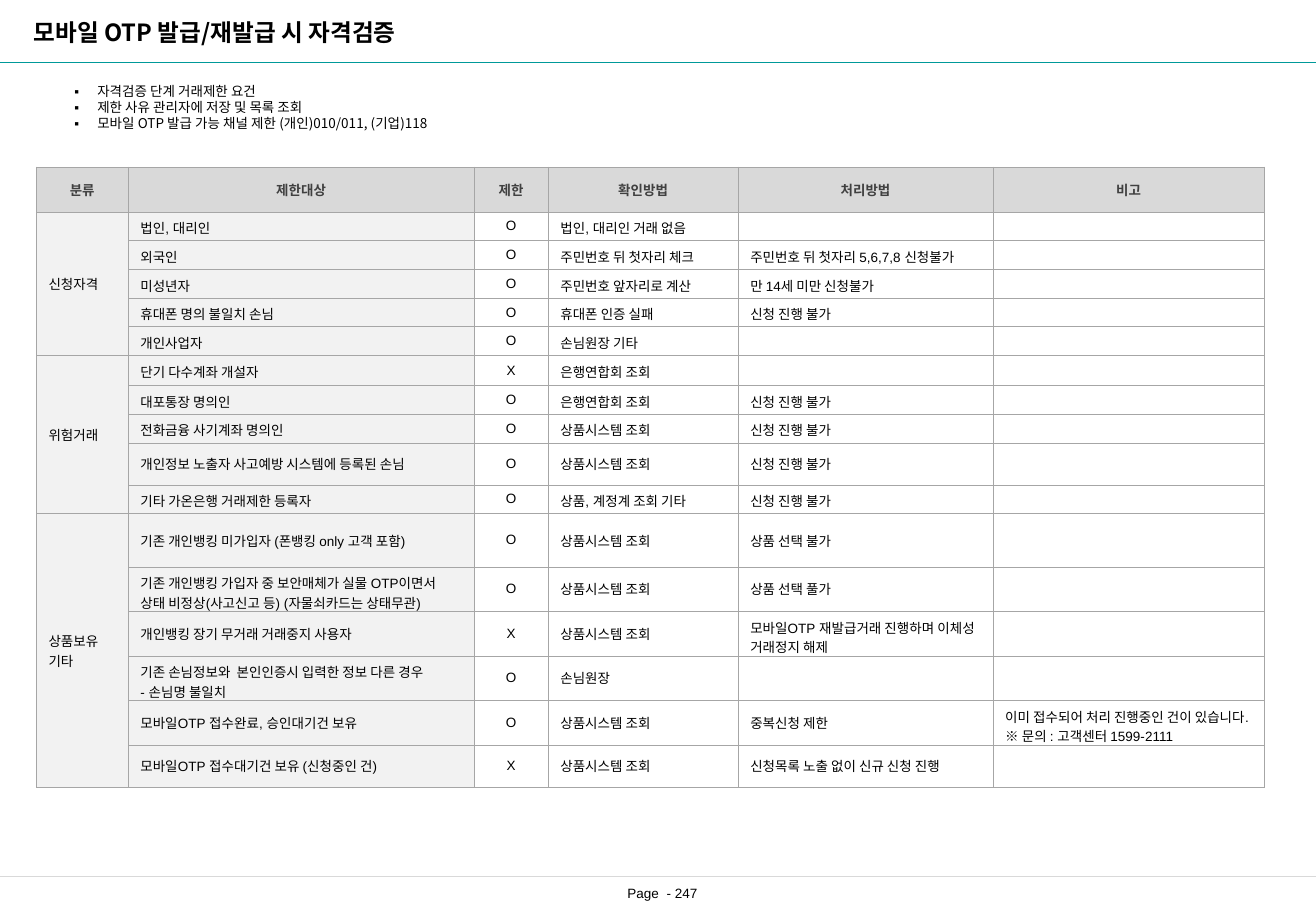
from dataclasses import dataclass

import lxml.etree
import pptx
import pptx.dml.color
import pptx.enum.shapes
import pptx.enum.text
import pptx.oxml.ns
import pptx.util

Cm, Pt = pptx.util.Cm, pptx.util.Pt
RGBColor = pptx.dml.color.RGBColor
PP_ALIGN = pptx.enum.text.PP_ALIGN
MSO_ANCHOR = pptx.enum.text.MSO_ANCHOR
qn = pptx.oxml.ns.qn

BLACK = RGBColor(0x00, 0x00, 0x00)
HEADER_TEXT = RGBColor(0x40, 0x40, 0x40)
HEADER_FILL = RGBColor(0xD9, 0xD9, 0xD9)
LABEL_FILL = RGBColor(0xF2, 0xF2, 0xF2)
BORDER = RGBColor(0xA6, 0xA6, 0xA6)
TEAL = RGBColor(0x00, 0x99, 0x99)
FOOTER_LINE = RGBColor(0xD9, 0xD9, 0xD9)
ARIAL = "Arial"
NOTO = "Noto Sans CJK KR"

SLIDE_W, SLIDE_H = 27.51, 19.05
COLUMN_WIDTHS = (1.92, 7.23, 1.55, 3.97, 5.33, 5.67)
HEADERS = ("분류", "제한대상", "제한", "확인방법", "처리방법", "비고")
HEADER_HEIGHT = 0.94
ONE_LINE, TWO_LINES = 0.6, 0.93
CENTERED_COLUMN = 2


@dataclass(frozen=True)
class Check:
    target: str
    limit: str
    method: str
    action: str = ""
    note: str = ""
    height: float = ONE_LINE


@dataclass(frozen=True)
class Group:
    name: str
    checks: tuple[Check, ...]


@dataclass(frozen=True)
class Rule:
    y: float
    color: RGBColor
    width: float


GROUPS = (
    Group("신청자격", (
        Check("법인, 대리인", "O", "법인, 대리인 거래 없음"),
        Check("외국인", "O", "주민번호 뒤 첫자리 체크", "주민번호 뒤 첫자리 5,6,7,8 신청불가"),
        Check("미성년자", "O", "주민번호 앞자리로 계산", "만 14세 미만 신청불가"),
        Check("휴대폰 명의 불일치 손님", "O", "휴대폰 인증 실패", "신청 진행 불가"),
        Check("개인사업자", "O", "손님원장 기타"),
    )),
    Group("위험거래", (
        Check("단기 다수계좌 개설자", "X", "은행연합회 조회", height=0.63),
        Check("대포통장 명의인", "O", "은행연합회 조회", "신청 진행 불가"),
        Check("전화금융 사기계좌 명의인", "O", "상품시스템 조회", "신청 진행 불가"),
        Check("개인정보 노출자 사고예방 시스템에 등록된 손님", "O", "상품시스템 조회",
              "신청 진행 불가", height=0.88),
        Check("기타 가온은행 거래제한 등록자", "O", "상품, 계정계 조회 기타", "신청 진행 불가"),
    )),
    Group("상품보유 기타", (
        Check("기존 개인뱅킹 미가입자 (폰뱅킹 only 고객 포함)", "O", "상품시스템 조회",
              "상품 선택 불가", height=1.11),
        Check("기존 개인뱅킹 가입자 중 보안매체가 실물 OTP이면서 "
              "상태 비정상(사고신고 등) (자물쇠카드는 상태무관)", "O", "상품시스템 조회",
              "상품 선택 풀가", height=TWO_LINES),
        Check("개인뱅킹 장기 무거래 거래중지 사용자", "X", "상품시스템 조회",
              "모바일OTP 재발급거래 진행하며 이체성 거래정지 해제", height=TWO_LINES),
        Check("기존 손님정보와  본인인증시 입력한 정보 다른 경우\n- 손님명 불일치", "O",
              "손님원장", height=TWO_LINES),
        Check("모바일OTP 접수완료, 승인대기건 보유", "O", "상품시스템 조회", "중복신청 제한",
              "이미 접수되어 처리 진행중인 건이 있습니다.\n※ 문의 : 고객센터 1599-2111",
              TWO_LINES),
        Check("모바일OTP 접수대기건 보유 (신청중인 건)", "X", "상품시스템 조회",
              "신청목록 노출 없이 신규 신청 진행", height=0.88),
    )),
)
BULLETS = (
    "자격검증 단계 거래제한 요건",
    "제한 사유 관리자에 저장 및 목록 조회",
    "모바일 OTP 발급 가능 채널 제한 (개인)010/011, (기업)118",
)
RULES = (Rule(1.3, TEAL, 0.5), Rule(18.33, FOOTER_LINE, 0.5))


def set_font(p, name: str, size: float, color: RGBColor = BLACK, bold: bool = False) -> None:
    font = p.font
    font.size, font.bold, font.name = Pt(size), bold, name
    font.color.rgb = color
    if name == NOTO:
        run_defaults = p._p.pPr.find(qn("a:defRPr"))
        lxml.etree.SubElement(run_defaults, qn("a:ea"), typeface=name)


def place(sp, left: float, top: float, width: float, height: float) -> None:
    sp.left, sp.top, sp.width, sp.height = Cm(left), Cm(top), Cm(width), Cm(height)


def add_rule(s, rule: Rule) -> None:
    y = Cm(rule.y)
    line = s.shapes.add_connector(pptx.enum.shapes.MSO_CONNECTOR.STRAIGHT, 0, y, Cm(SLIDE_W), y)
    line.line.color.rgb = rule.color
    line.line.width = Pt(rule.width)
    lxml.etree.SubElement(line._element.spPr, qn("a:effectLst"))


def add_borders(cell) -> None:
    tc_pr = cell._tc.get_or_add_tcPr()
    for i, side in enumerate(("a:lnL", "a:lnR", "a:lnT", "a:lnB")):
        ln = lxml.etree.Element(qn(side), w=str(Pt(0.25)))
        fill = lxml.etree.SubElement(ln, qn("a:solidFill"))
        lxml.etree.SubElement(fill, qn("a:srgbClr"), val=str(BORDER))
        tc_pr.insert(i, ln)


def format_cell(cell, row: int, col: int) -> None:
    header = row == 0
    if header or col < 2:
        cell.fill.solid()
        cell.fill.fore_color.rgb = HEADER_FILL if header else LABEL_FILL
    else:
        cell.fill.background()
    add_borders(cell)
    cell.vertical_anchor = MSO_ANCHOR.MIDDLE
    for p in cell.text_frame.paragraphs:
        p.alignment = PP_ALIGN.CENTER if header or col == CENTERED_COLUMN else PP_ALIGN.LEFT
        set_font(p, ARIAL, 8, HEADER_TEXT if header else BLACK, header)
        # An empty cell takes its line height from the paragraph end
        lxml.etree.SubElement(p._p, qn("a:endParaRPr"), sz="800")


def add_check_table(s) -> None:
    rows = [(HEADER_HEIGHT, HEADERS)]
    for group in GROUPS:
        for i, c in enumerate(group.checks):
            name = group.name if i == 0 else ""
            rows.append((c.height, (name, c.target, c.limit, c.method, c.action, c.note)))
    frame = s.shapes.add_table(len(rows), len(HEADERS), Cm(0.76), Cm(3.49),
                               Cm(sum(COLUMN_WIDTHS)), Cm(sum(h for h, _ in rows)))
    table = frame.table
    table.first_row = table.horz_banding = False
    for column, width in zip(table.columns, COLUMN_WIDTHS):
        column.width = Cm(width)
    for r, (height, texts) in enumerate(rows):
        table.rows[r].height = Cm(height)
        for c, text in enumerate(texts):
            cell = table.cell(r, c)
            cell.text = text
            format_cell(cell, r, c)
    first = 1
    for group in GROUPS:
        last = first + len(group.checks) - 1
        table.cell(first, 0).merge(table.cell(last, 0))
        first = last + 1


def fill_title(sp) -> None:
    place(sp, 0.45, 0.25, 8.92, 0.86)
    tf = sp.text_frame
    tf.text = "모바일 OTP 발급/재발급 시 자격검증"
    tf.auto_size = pptx.enum.text.MSO_AUTO_SIZE.NONE
    tf.word_wrap = False
    tf.vertical_anchor = MSO_ANCHOR.MIDDLE
    p = tf.paragraphs[0]
    p.alignment = PP_ALIGN.LEFT
    set_font(p, NOTO, 14, bold=True)


def fill_body(sp) -> None:
    place(sp, 1.3, 1.62, 23.01, 1.27)
    tf = sp.text_frame
    tf.text = "\n".join(BULLETS)
    tf.auto_size = pptx.enum.text.MSO_AUTO_SIZE.NONE
    for p in tf.paragraphs:
        p.space_before = Pt(0)
        p.line_spacing = Pt(9.5)
        p_pr = p._p.get_or_add_pPr()
        p_pr.set("marL", str(Cm(0.48)))
        p_pr.set("indent", str(-Cm(0.48)))
        lxml.etree.SubElement(p_pr, qn("a:buFont"), typeface=ARIAL)
        lxml.etree.SubElement(p_pr, qn("a:buChar"), char="▪")
        set_font(p, NOTO, 8)


def add_page_number(s) -> None:
    tf = s.shapes.add_textbox(Cm(11.85), Cm(18.31), Cm(4), Cm(0.74)).text_frame
    tf.word_wrap = True
    tf.vertical_anchor = MSO_ANCHOR.MIDDLE
    p = tf.paragraphs[0]
    p.text = "Page  - 247"
    p.alignment = PP_ALIGN.CENTER
    set_font(p, ARIAL, 8)


def main() -> None:
    prs = pptx.Presentation()
    prs.slide_width, prs.slide_height = Cm(SLIDE_W), Cm(SLIDE_H)
    s = prs.slides.add_slide(prs.slide_layouts[1])
    # Heading and requirements
    fill_title(s.shapes.title)
    fill_body(s.placeholders[1])
    # Header and footer lines, page number
    for rule in RULES:
        add_rule(s, rule)
    add_page_number(s)
    # Eligibility checks
    add_check_table(s)
    prs.save("out.pptx")


if __name__ == "__main__":
    main()
